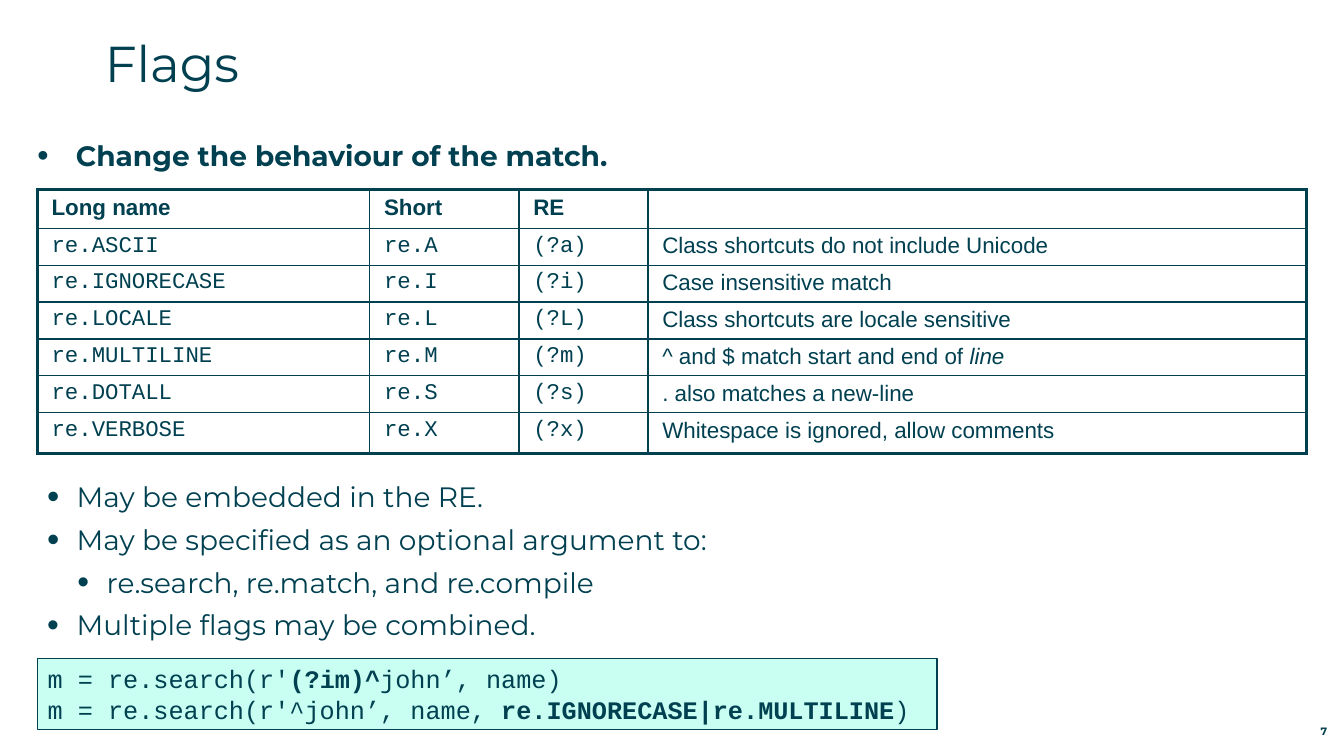
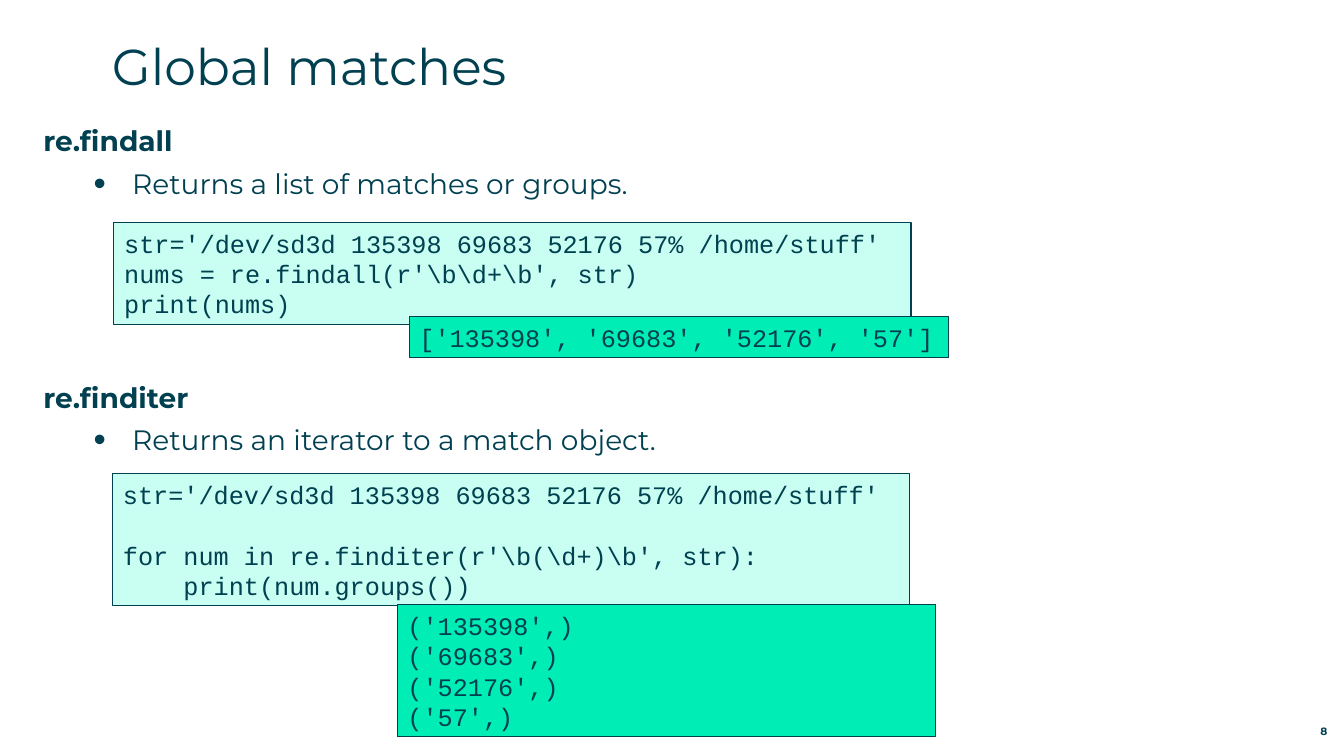
from dataclasses import dataclass

from lxml import etree
from pptx import Presentation
from pptx import util as u
from pptx.dml.color import RGBColor
from pptx.enum import shapes, text
from pptx.oxml.ns import qn


@dataclass(frozen=True)
class Theme:
    ink: RGBColor = RGBColor.from_string("004050")
    paper: RGBColor = RGBColor.from_string("FFFFFF")
    code_fill: RGBColor = RGBColor.from_string("C8FFF2")
    output_fill: RGBColor = RGBColor.from_string("00EDB5")
    font: str = "Montserrat"
    table_font: str = "Arial"
    code_font: str = "Courier New"
    title_size: float = 36
    body_size: float = 20
    body_pitch: float = 30.5
    code_size: float = 18
    code_pitch: float = 21.7
    table_size: float = 16
    number_size: float = 7.6


theme = Theme()


def write(paragraph, content, font, size, emphasis="bold"):
    """Fill a paragraph; parts between ** marks get the emphasis."""
    for index, part in enumerate(content.split("**")):
        if not part:
            continue
        run = paragraph.add_run()
        run.text = part
        run.font.name = font
        run.font.size = u.Pt(size)
        run.font.color.rgb = theme.ink
        setattr(run.font, emphasis, index % 2 == 1)


def prepare_frame(shape, box, inset=0):
    """Place a shape and give its text frame equal settings everywhere."""
    shape.left, shape.top, shape.width, shape.height = map(u.Cm, box)
    frame = shape.text_frame
    frame.word_wrap = True
    frame.auto_size = text.MSO_AUTO_SIZE.NONE
    frame.vertical_anchor = text.MSO_ANCHOR.TOP
    frame.margin_left = frame.margin_right = u.Cm(2 * inset)
    frame.margin_top = frame.margin_bottom = u.Cm(inset)
    return frame


# Body lines: text, level, left indent, hanging indent, bullet %, empty lines above
# Code boxes: place, fill, line width, lines as (text, empty lines above)
pages = [
    {
        "number": "7",
        "title": ("Flags", (2.64, 0.81, 30, 2.24)),
        "body_box": (0.94, 3.48, 32.54, 14.48),
        "body": [
            ("**Change the behaviour of the match.**", 0, 0.97, 0.97, 115, 0),
            ("May be embedded in the RE.", 1, 0.99, 0.74, 125, 7),
            ("May be specified as an optional argument to:", 1, 0.99, 0.74, 125, 0),
            ("re.search, re.match, and re.compile", 2, 1.75, 0.74, 120, 0),
            ("Multiple flags may be combined.", 2, 0.99, 0.74, 120, 0),
        ],
        "code": [
            ((0.94, 16.59, 22.68, 1.8), theme.code_fill, 1, [
                ("m = re.search(r'**(?im)^**john’, name)", 0),
                ("m = re.search(r'^john’, name, **re.IGNORECASE|re.MULTILINE**)", 0),
            ]),
        ],
    },
    {
        "number": "8",
        "title": ("Global matches", (2.82, 0.89, 30, 2.24)),
        "body_box": (1.09, 3.12, 31.98, 13.77),
        "body": [
            ("**re.findall**", 0, 0, 0, None, 0),
            ("Returns a list of matches or groups.", 1, 2.24, 0.97, 125, 0),
            ("**re.finditer**", 0, 0, 0, None, 4),
            ("Returns an iterator to a match object.", 1, 2.24, 0.97, 125, 0),
        ],
        "code": [
            ((2.87, 5.61, 20.09, 2.57), theme.code_fill, 0.75, [
                ("str='/dev/sd3d 135398 69683 52176 57% /home/stuff'", 0),
                (r"nums = re.findall(r'\b\d+\b', str)", 0),
                ("print(nums)", 0),
            ]),
            ((2.84, 11.94, 20.09, 3.33), theme.code_fill, 0.75, [
                ("str='/dev/sd3d 135398 69683 52176 57% /home/stuff'", 0),
                (r"for num in re.finditer(r'\b(\d+)\b', str):", 1),
                ("    print(num.groups())", 0),
            ]),
            ((10.31, 7.98, 13.59, 1.04), theme.output_fill, 0.75, [
                ("['135398', '69683', '52176', '57']", 0),
            ]),
            ((10.01, 15.24, 13.56, 3.33), theme.output_fill, 0.75, [
                (f"('{value}',)", 0) for value in (135398, 69683, 52176, 57)
            ]),
        ],
    },
]

flag_rows = [
    ("**Long name**", "**Short**", "**RE**", ""),
    ("re.ASCII", "re.A", "(?a)", "Class shortcuts do not include Unicode"),
    ("re.IGNORECASE", "re.I", "(?i)", "Case insensitive match"),
    ("re.LOCALE", "re.L", "(?L)", "Class shortcuts are locale sensitive"),
    ("re.MULTILINE", "re.M", "(?m)", "^ and $ match start and end of **line**"),
    ("re.DOTALL", "re.S", "(?s)", ". also matches a new-line"),
    ("re.VERBOSE", "re.X", "(?x)", "Whitespace is ignored, allow comments"),
]
column_widths = (8.38, 3.76, 3.25, 16.59)
row_heights = (0.97, *[0.93] * 5, 1.02)

presentation = Presentation()
presentation.slide_width = u.Cm(33.87)
presentation.slide_height = u.Cm(19.05)

for page in pages:
    slide = presentation.slides.add_slide(presentation.slide_layouts[1])

    title, title_box = page["title"]
    frame = prepare_frame(slide.shapes.title, title_box)
    frame.paragraphs[0].alignment = text.PP_ALIGN.LEFT
    write(frame.paragraphs[0], title, theme.font, theme.title_size)

    frame = prepare_frame(slide.placeholders[1], page["body_box"])
    for index, (content, level, left, hanging, bullet, gap) in enumerate(page["body"]):
        paragraph = frame.add_paragraph() if index else frame.paragraphs[0]
        paragraph.level = level
        paragraph.space_before = u.Pt(gap * theme.body_pitch)
        paragraph.space_after = u.Pt(6.5)
        write(paragraph, content, theme.font, theme.body_size)
        properties = paragraph._p.get_or_add_pPr()
        properties.set("marL", str(u.Cm(left)))
        properties.set("indent", str(-u.Cm(hanging)))
        if bullet:
            etree.SubElement(properties, qn("a:buSzPct"), val=str(bullet * 1000))
            etree.SubElement(properties, qn("a:buFont"), typeface=theme.table_font)
            etree.SubElement(properties, qn("a:buChar"), char="•")
        else:
            etree.SubElement(properties, qn("a:buNone"))

    for box, fill, line_width, lines in page["code"]:
        shape = slide.shapes.add_shape(shapes.MSO_SHAPE.RECTANGLE, 0, 0, 0, 0)
        shape.shadow.inherit = False
        shape.fill.solid()
        shape.fill.fore_color.rgb = fill
        shape.line.color.rgb = theme.ink
        shape.line.width = u.Pt(line_width)
        frame = prepare_frame(shape, box, 0.13)
        for index, (content, gap) in enumerate(lines):
            paragraph = frame.add_paragraph() if index else frame.paragraphs[0]
            paragraph.alignment = text.PP_ALIGN.LEFT
            paragraph.line_spacing = u.Pt(theme.code_pitch)
            paragraph.space_before = u.Pt(gap * theme.code_pitch)
            write(paragraph, content, theme.code_font, theme.code_size)

    number_box = slide.shapes.add_textbox(0, 0, 0, 0)
    frame = prepare_frame(number_box, (31.27, 18.08, 2.18, 0.51))
    frame.vertical_anchor = text.MSO_ANCHOR.BOTTOM
    frame.paragraphs[0].alignment = text.PP_ALIGN.RIGHT
    write(frame.paragraphs[0], f"**{page['number']}**", theme.font, theme.number_size)

# Table of flags on the first slide
last_row, last_column = len(flag_rows) - 1, len(column_widths) - 1
table = presentation.slides[0].shapes.add_table(
    len(flag_rows), len(column_widths), u.Cm(0.94), u.Cm(4.78),
    u.Cm(sum(column_widths)), u.Cm(sum(row_heights))).table
table.first_row = table.horz_banding = False
for column, width in zip(table.columns, column_widths):
    column.width = u.Cm(width)
for row, height in zip(table.rows, row_heights):
    row.height = u.Cm(height)

for row_index, row in enumerate(flag_rows):
    for column_index, content in enumerate(row):
        cell = table.cell(row_index, column_index)
        cell.fill.solid()
        cell.fill.fore_color.rgb = theme.paper
        cell.margin_left = cell.margin_right = u.Cm(0.36)
        cell.margin_top = cell.margin_bottom = u.Cm(0.13)
        is_code = row_index > 0 and column_index < last_column
        paragraph = cell.text_frame.paragraphs[0]
        write(paragraph, content, theme.code_font if is_code else theme.table_font,
              theme.table_size, "italic" if row_index else "bold")
        if not content:
            etree.SubElement(paragraph._p, qn("a:endParaRPr"), sz=str(theme.table_size * 100))

        outer_edges = {
            "a:lnL": column_index == 0,
            "a:lnR": column_index == last_column,
            "a:lnT": row_index == 0,
            "a:lnB": row_index == last_row,
        }
        properties = cell._tc.get_or_add_tcPr()
        for position, (edge, is_outer) in enumerate(outer_edges.items()):
            border = etree.Element(qn(edge), w=str(u.Pt(2.25 if is_outer else 1)))
            fill = etree.SubElement(border, qn("a:solidFill"))
            etree.SubElement(fill, qn("a:srgbClr"), val=str(theme.ink))
            properties.insert(position, border)

presentation.save("out.pptx")
